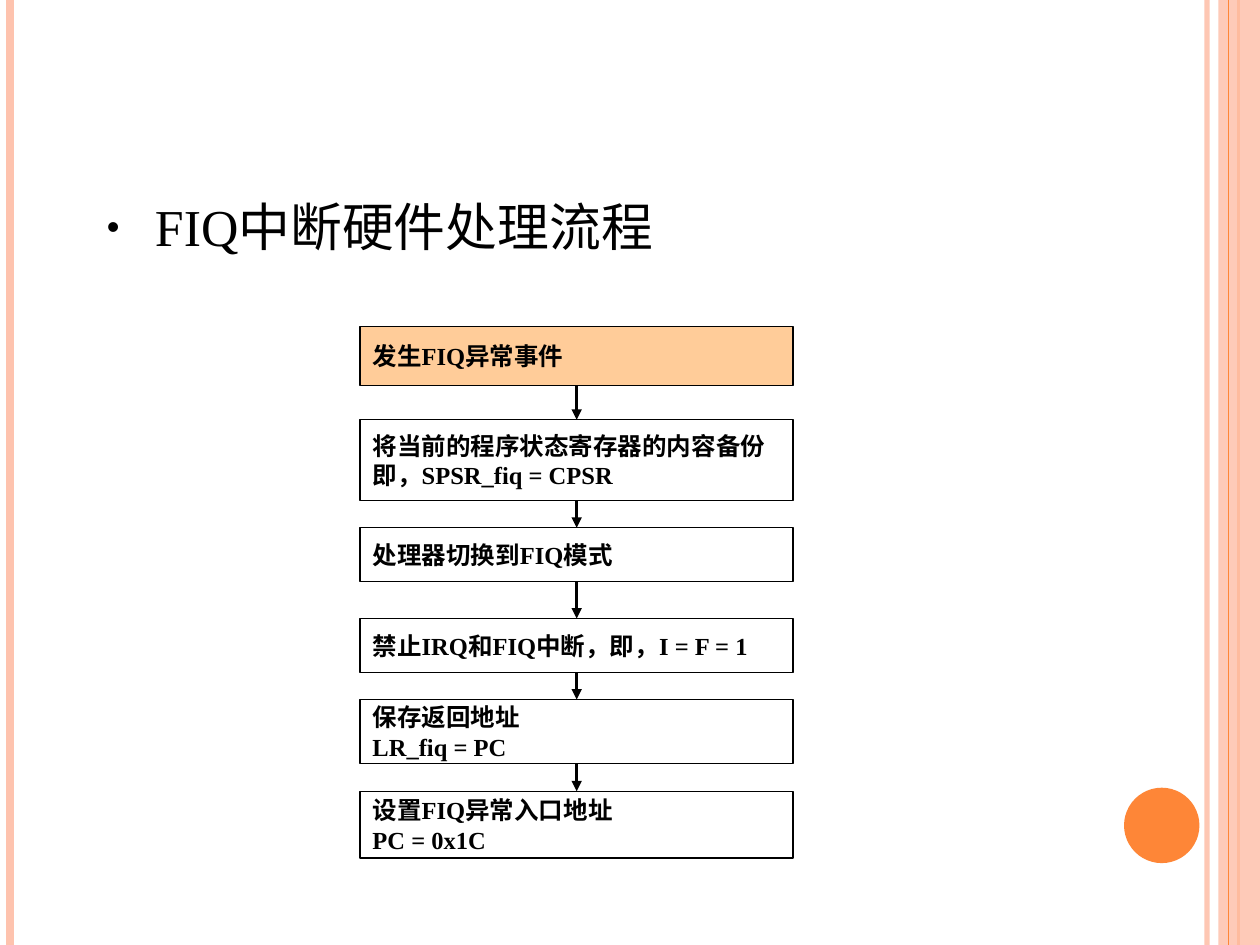
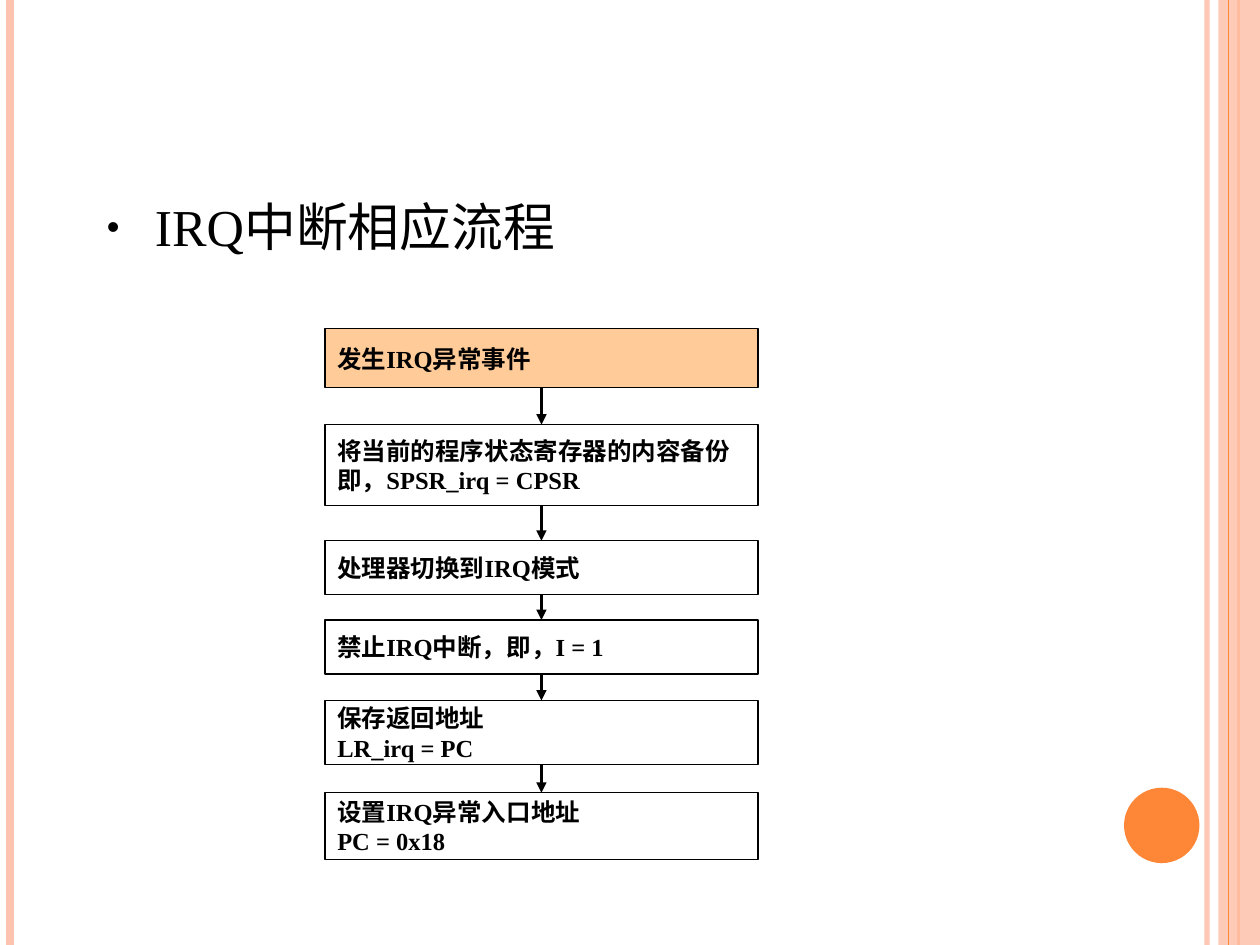
from itertools import pairwise

from lxml import etree
from pptx import Presentation
from pptx import util as u
from pptx.dml import color
from pptx.enum import shapes, text
from pptx.oxml import ns

FLOWS = [
    {"heading": "FIQ中断硬件处理流程", "mode": "FIQ", "masked": "IRQ和FIQ中断", "flags": "I = F = 1",
     "vector": "0x1C", "left": 7.26, "tops": (6.58, 8.46, 10.64, 12.47, 14.1, 15.95)},
    {"heading": "IRQ中断相应流程", "mode": "IRQ", "masked": "IRQ中断", "flags": "I = 1",
     "vector": "0x18", "left": 6.55, "tops": (6.63, 8.56, 10.9, 12.5, 14.12, 15.98)},
]
STEPS = [
    (1.19, "FFCC99", ["发生{mode}异常事件"]),
    (1.63, "FFFFFF", ["将当前的程序状态寄存器的内容备份", "即，SPSR_{bank} = CPSR"]),
    (1.09, "FFFFFF", ["处理器切换到{mode}模式"]),
    (1.09, "FFFFFF", ["禁止{masked}，即，{flags}"]),
    (1.3, "FFFFFF", ["保存返回地址", "LR_{bank} = PC"]),
    (1.35, "FFFFFF", ["设置{mode}异常入口地址", "PC = {vector}"]),
]
STEP_WIDTH = 8.73
WIDTH, HEIGHT = 25.4, 19.05
INK, PEACH, ORANGE = "000000", "FEC3AE", "FE8637"
STRIPES = [(24.33, PEACH, 3, 93), (0.2, PEACH, 4.5, 100), (24.97, ORANGE, 1.5, 100)]
BAND = (24.56, 0, 0.84, HEIGHT)
BAND_STRIPE = (24.77, ORANGE, 0.75, 100)
DISC = (22.66, 15.88, 1.52, 1.52)

HEADING_FONT = {"name": "Times New Roman", "size": u.Pt(29.6), "bold": False}
STEP_FONT = {"name": "Times New Roman", "size": u.Pt(14), "bold": True}
HEADING_PLACE = {"left": u.Cm(1.9), "top": u.Cm(3.94), "width": u.Cm(21.39), "height": u.Cm(1.6)}
HEADING_FRAME = {"word_wrap": True, "auto_size": text.MSO_AUTO_SIZE.NONE,
                 "vertical_anchor": text.MSO_ANCHOR.TOP}
HEADING_SPACING = {"line_spacing": 0.9, "space_before": u.Pt(0), "alignment": text.PP_ALIGN.LEFT}
STEP_FRAME = {"word_wrap": True, "vertical_anchor": text.MSO_ANCHOR.MIDDLE}


def apply(target, values):
    for key, value in values.items():
        setattr(target, key, value)


def paint(fill, hex_value, opacity=100):
    fill.solid()
    fill.fore_color.rgb = color.RGBColor.from_string(hex_value)
    if opacity < 100:
        rgb = fill._xPr.find(".//" + ns.qn("a:srgbClr"))
        etree.SubElement(rgb, ns.qn("a:alpha"), val=str(opacity * 1000))


def write(paragraph, words, font):
    run = paragraph.add_run()
    run.text = words
    apply(run.font, font)
    paint(run.font.fill, INK)


def add_line(slide, ends, hex_value, weight, opacity=100):
    line = slide.shapes.add_connector(shapes.MSO_CONNECTOR.STRAIGHT, *map(u.Cm, ends))
    paint(line.line.fill, hex_value, opacity)
    line.line.width = u.Pt(weight)
    etree.SubElement(line.element.spPr, ns.qn("a:effectLst"))
    return line


def add_area(slide, kind, place, hex_value, opacity=100):
    area = slide.shapes.add_shape(kind, *map(u.Cm, place))
    area.shadow.inherit = False
    paint(area.fill, hex_value, opacity)
    area.line.fill.background()
    return area


def add_stripe(slide, x, hex_value, weight, opacity):
    return add_line(slide, (x, 0, x, HEIGHT), hex_value, weight, opacity)


def decorate_master(master, slide):
    parts = [add_stripe(slide, *stripe) for stripe in STRIPES]
    parts.append(add_area(slide, shapes.MSO_SHAPE.RECTANGLE, BAND, PEACH, 87))
    parts.append(add_stripe(slide, *BAND_STRIPE))
    parts.append(add_area(slide, shapes.MSO_SHAPE.OVAL, DISC, ORANGE))
    for number, part in enumerate(parts, 101):
        part.element.xpath(".//p:cNvPr")[0].set("id", str(number))
        master.shapes.element.append(part.element)


def add_heading(slide, words):
    title = slide.shapes.title
    title.element.getparent().remove(title.element)
    heading = slide.placeholders[1]
    apply(heading, HEADING_PLACE)
    apply(heading.text_frame, HEADING_FRAME)
    paragraph = heading.text_frame.paragraphs[0]
    properties = paragraph._p.get_or_add_pPr()
    properties.set("marL", str(u.Cm(0.97)))
    properties.set("indent", str(u.Cm(-0.97)))
    bullet_color = etree.SubElement(properties, ns.qn("a:buClr"))
    etree.SubElement(bullet_color, ns.qn("a:srgbClr"), val=INK)
    etree.SubElement(properties, ns.qn("a:buSzPct"), val="70000")
    etree.SubElement(properties, ns.qn("a:buChar"), char="•")
    apply(paragraph, HEADING_SPACING)
    write(paragraph, words, HEADING_FONT)


def add_step(slide, place, hex_value, lines):
    step = add_area(slide, shapes.MSO_SHAPE.RECTANGLE, place, hex_value)
    paint(step.line.fill, INK)
    step.line.width = u.Pt(0.75)
    frame = step.text_frame
    apply(frame, STEP_FRAME)
    for index, words in enumerate(lines):
        paragraph = frame.add_paragraph() if index else frame.paragraphs[0]
        paragraph.alignment = text.PP_ALIGN.LEFT
        write(paragraph, words, STEP_FONT)
    return step


def add_flow(slide, flow):
    names = {**flow, "bank": flow["mode"].lower()}
    steps = []
    for top, (height, hex_value, lines) in zip(flow["tops"], STEPS):
        place = (flow["left"], top, STEP_WIDTH, height)
        steps.append(add_step(slide, place, hex_value, [line.format(**names) for line in lines]))
    for above, below in pairwise(steps):
        arrow = add_line(slide, (0, 0, 0, 0), INK, 1.5)
        arrow.begin_connect(above, 2)
        arrow.end_connect(below, 0)
        etree.SubElement(arrow.line._get_or_add_ln(), ns.qn("a:tailEnd"), type="triangle")


def main():
    deck = Presentation()
    deck.slide_width, deck.slide_height = u.Cm(WIDTH), u.Cm(HEIGHT)
    for index, flow in enumerate(FLOWS):
        slide = deck.slides.add_slide(deck.slide_layouts[1])
        if index == 0:
            decorate_master(deck.slide_master, slide)
        add_heading(slide, flow["heading"])
        add_flow(slide, flow)
    deck.save("out.pptx")


if __name__ == "__main__":
    main()
